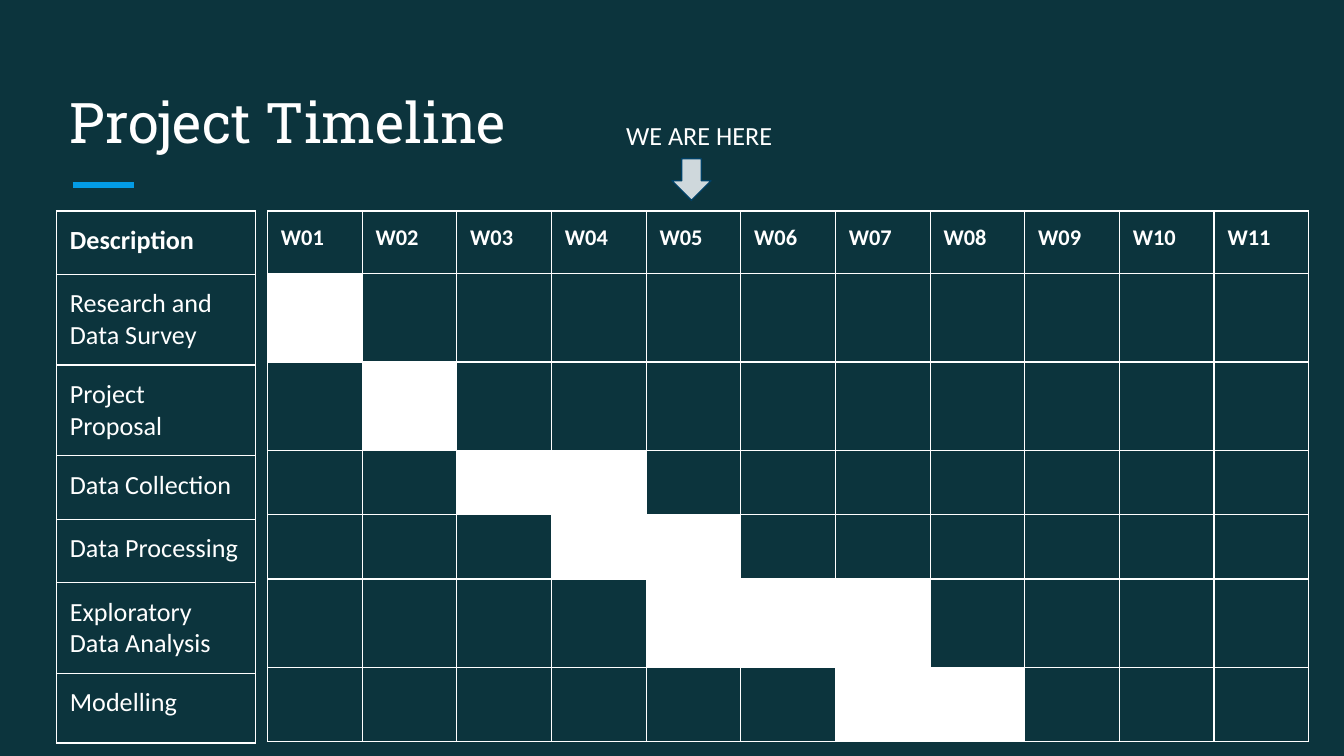
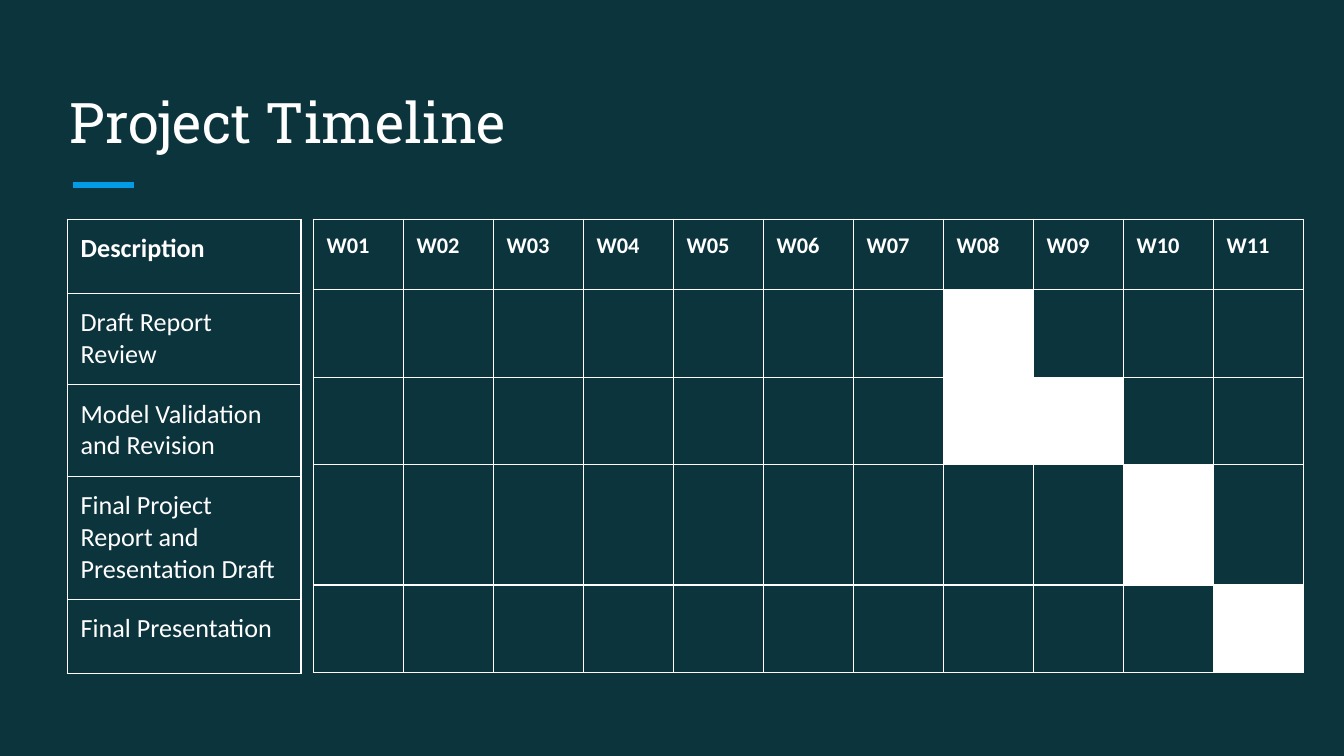
from dataclasses import dataclass

from lxml import etree
from pptx import Presentation
from pptx.dml.color import RGBColor
from pptx.enum.shapes import MSO_CONNECTOR, MSO_SHAPE
from pptx.enum.text import MSO_ANCHOR, MSO_AUTO_SIZE, PP_ALIGN
from pptx.oxml.ns import qn
from pptx.util import Inches, Pt

STRAIGHT = MSO_CONNECTOR.STRAIGHT
DOWN_ARROW = MSO_SHAPE.DOWN_ARROW
BOTTOM = MSO_ANCHOR.BOTTOM
TOP = MSO_ANCHOR.TOP
NO_AUTOFIT = MSO_AUTO_SIZE.NONE
LEFT = PP_ALIGN.LEFT

COLORS = {
    "background": "0C343D",
    "accent": "039BE5",
    "white": "FFFFFF",
    "arrow": "CFD8DC",
    "arrow_line": "004065",
}
TITLE_FONT = "Roboto Slab"
BODY_FONT = "Calibri"
SLIDE_WIDTH = Inches(10)
SLIDE_HEIGHT = SLIDE_WIDTH * 9 // 16
INSET = Inches(0.1)
TITLE_ONLY = 5
TITLE_BOX = (4.2, 8.9, 91.5, 13.3)
WEEKS = [f"W{week:02d}" for week in range(1, 12)]


@dataclass
class Timeline:
    top: float
    task_left: float
    task_width: float
    week_left: float
    week_width: float
    task_rows: list
    week_rows: list
    tasks: list


FIRST_TIMELINE = Timeline(
    top=27.9, task_left=4.2, task_width=14.8, week_left=19.9, week_width=77.5,
    task_rows=[8.4, 12, 12, 8.4, 8.4, 12, 9.2],
    week_rows=[8.3, 11.7, 11.7, 8.5, 8.5, 11.7, 9.8],
    tasks=[
        ("Research and Data Survey", 1, 1),
        ("Project Proposal", 2, 2),
        ("Data Collection", 3, 4),
        ("Data Processing", 4, 5),
        ("Exploratory Data Analysis", 5, 7),
        ("Modelling", 7, 8),
    ],
)
SECOND_TIMELINE = Timeline(
    top=29, task_left=5, task_width=17.4, week_left=23.3, week_width=73.7,
    task_rows=[9.8, 12.1, 12.1, 16.3, 9.8],
    week_rows=[9.3, 11.6, 11.6, 15.9, 11.6],
    tasks=[
        ("Draft Report Review", 8, 8),
        ("Model Validation and Revision", 8, 9),
        ("Final Project Report and Presentation Draft", 10, 10),
        ("Final Presentation", 11, 11),
    ],
)


def color(name):
    return RGBColor.from_string(COLORS[name])


def across(percent):
    return round(SLIDE_WIDTH * percent / 100)


def down(percent):
    return round(SLIDE_HEIGHT * percent / 100)


def place(box):
    left, top, width, height = box
    return across(left), down(top), across(width), down(height)


def set_margins(target):
    target.margin_left = target.margin_right = INSET
    target.margin_top = target.margin_bottom = INSET


def style_text(text_frame, font_name, size, bold=False):
    for paragraph in text_frame.paragraphs:
        paragraph.alignment = LEFT
        for run in paragraph.runs:
            run.font.name = font_name
            run.font.size = Pt(size)
            run.font.bold = bold
            run.font.color.rgb = color("white")


def add_title_slide(presentation, title_text):
    slide = presentation.slides.add_slide(presentation.slide_layouts[TITLE_ONLY])
    title = slide.shapes.title
    title.left, title.top, title.width, title.height = place(TITLE_BOX)
    text_frame = title.text_frame
    text_frame.text = title_text
    text_frame.auto_size = NO_AUTOFIT
    text_frame.vertical_anchor = BOTTOM
    set_margins(text_frame)
    style_text(text_frame, TITLE_FONT, 30)

    rule = slide.shapes.add_connector(
        STRAIGHT, across(5.4), down(24.5), across(10), down(24.5))
    rule.line.color.rgb = color("accent")
    rule.line.width = Pt(3)
    etree.SubElement(rule._element.spPr, qn("a:effectLst"))
    return slide


def add_borders(cell):
    properties = cell._tc.get_or_add_tcPr()
    for index, side in enumerate(("lnL", "lnR", "lnT", "lnB")):
        line = etree.Element(qn(f"a:{side}"), w=str(Pt(0.75)))
        fill = etree.SubElement(line, qn("a:solidFill"))
        etree.SubElement(fill, qn("a:srgbClr"), val=COLORS["white"])
        properties.insert(index, line)


def format_cell(cell, text, size, bold, filled):
    if text:
        cell.text_frame.text = text
        style_text(cell.text_frame, BODY_FONT, size, bold)
        set_margins(cell)
    else:
        cell.margin_top = cell.margin_bottom = 0
    cell.vertical_anchor = TOP
    if filled:
        cell.fill.solid()
        cell.fill.fore_color.rgb = color("white")
    else:
        cell.fill.background()
    add_borders(cell)


def add_grid(slide, box, row_shares, values, size, filled=()):
    columns = len(values[0])
    table = slide.shapes.add_table(len(values), columns, *place(box)).table
    table.first_row = table.horz_banding = False
    for column in table.columns:
        column.width = across(box[2] / columns)
    for row_index, (row, share) in enumerate(zip(table.rows, row_shares)):
        row.height = down(share)
        for column_index, cell in enumerate(row.cells):
            format_cell(cell, values[row_index][column_index], size,
                        row_index == 0, (row_index, column_index) in filled)


def add_timeline(slide, timeline):
    week_box = (timeline.week_left, timeline.top,
                timeline.week_width, sum(timeline.week_rows))
    task_box = (timeline.task_left, timeline.top,
                timeline.task_width, sum(timeline.task_rows))
    week_values = [WEEKS] + [[""] * len(WEEKS) for _ in timeline.tasks]
    task_values = [["Description"]] + [[name] for name, _, _ in timeline.tasks]
    active_weeks = {
        (row, week - 1)
        for row, (_, first, last) in enumerate(timeline.tasks, start=1)
        for week in range(first, last + 1)
    }
    add_grid(slide, week_box, timeline.week_rows, week_values, 12, active_weeks)
    add_grid(slide, task_box, timeline.task_rows, task_values, 14)


def add_current_week_marker(slide, box):
    left, top, width, height = box
    arrow = slide.shapes.add_shape(
        DOWN_ARROW, *place((left + width / 3, top + height * 0.56, 2.9, height * 0.44)))
    arrow.shadow.inherit = False
    arrow.fill.solid()
    arrow.fill.fore_color.rgb = color("arrow")
    arrow.line.color.rgb = color("arrow_line")
    arrow.line.width = Pt(0.75)

    label = slide.shapes.add_textbox(*place((left, top, width, height * 0.44)))
    text_frame = label.text_frame
    text_frame.word_wrap = True
    text_frame.text = "WE ARE HERE"
    set_margins(text_frame)
    style_text(text_frame, BODY_FONT, 14)


def main():
    presentation = Presentation()
    presentation.slide_width = SLIDE_WIDTH
    presentation.slide_height = SLIDE_HEIGHT
    background = presentation.slide_layouts[TITLE_ONLY].background.fill
    background.solid()
    background.fore_color.rgb = color("background")

    first_slide = add_title_slide(presentation, "Project Timeline")
    add_timeline(first_slide, FIRST_TIMELINE)
    add_current_week_marker(first_slide, (45.6, 14, 13.2, 12.5))

    second_slide = add_title_slide(presentation, "Project Timeline")
    add_timeline(second_slide, SECOND_TIMELINE)

    presentation.save("out.pptx")


if __name__ == "__main__":
    main()
